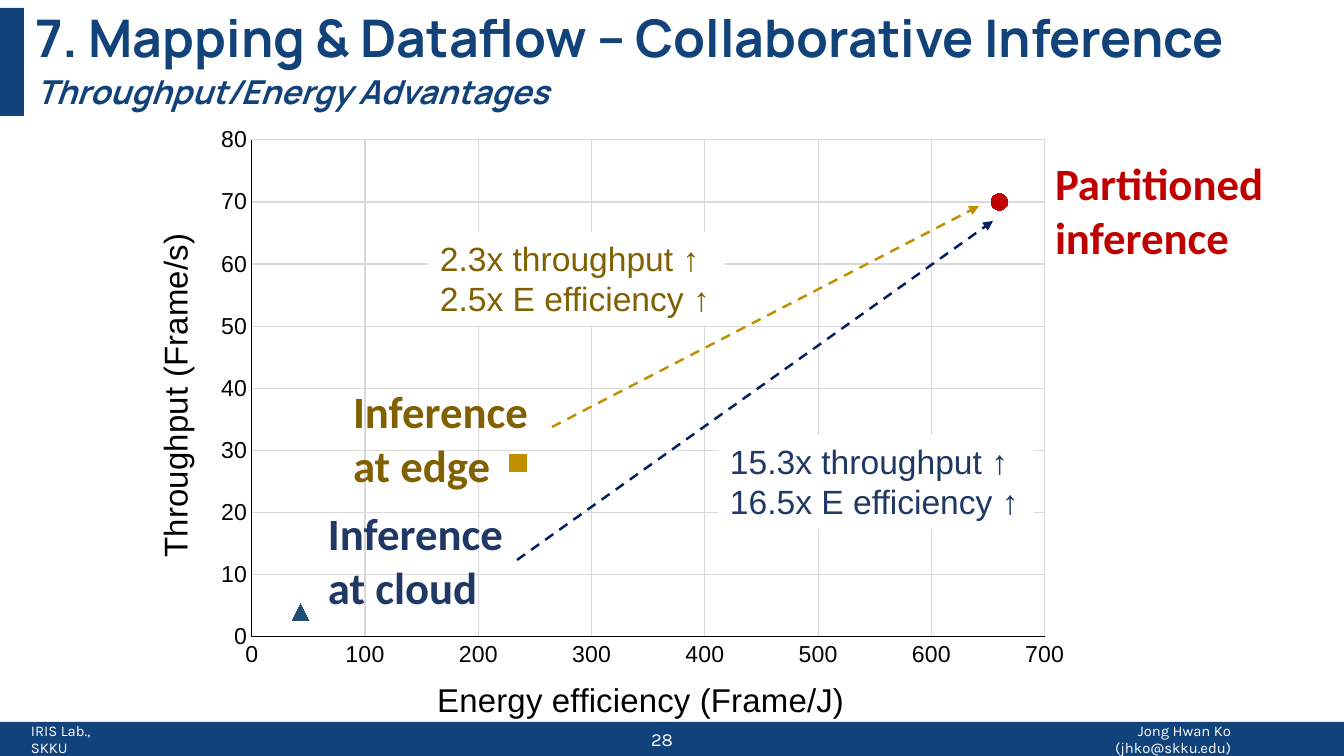
from dataclasses import dataclass
from typing import Optional

from lxml import etree
from pptx import Presentation
from pptx.chart.data import XyChartData
from pptx.dml.color import RGBColor
from pptx.enum.chart import XL_CHART_TYPE, XL_MARKER_STYLE, XL_TICK_MARK
from pptx.enum.dml import MSO_LINE
from pptx.enum.shapes import MSO_CONNECTOR, MSO_SHAPE
from pptx.enum.text import MSO_ANCHOR, PP_ALIGN
from pptx.oxml import parse_xml
from pptx.oxml.ns import nsdecls, qn
from pptx.util import Pt

EMU_PER_PX = 7716
SLIDE_SIZE = (1344, 756)

BRAND_BLUE = RGBColor(0x11, 0x43, 0x7A)
WHITE = RGBColor(0xFF, 0xFF, 0xFF)
BLACK = RGBColor(0x00, 0x00, 0x00)
GRID_GREY = RGBColor(0xD9, 0xD9, 0xD9)
EDGE_TEXT = RGBColor(0x80, 0x60, 0x00)
EDGE_GOLD = RGBColor(0xBF, 0x90, 0x00)
CLOUD_TEXT = RGBColor(0x20, 0x38, 0x64)
CLOUD_ARROW = RGBColor(0x00, 0x20, 0x60)
CLOUD_MARKER = RGBColor(0x1F, 0x4E, 0x79)
PARTITIONED_RED = RGBColor(0xC0, 0x00, 0x00)

LEFT, CENTER, RIGHT = PP_ALIGN.LEFT, PP_ALIGN.CENTER, PP_ALIGN.RIGHT
TOP, MIDDLE = MSO_ANCHOR.TOP, MSO_ANCHOR.MIDDLE
SQUARE, TRIANGLE = XL_MARKER_STYLE.SQUARE, XL_MARKER_STYLE.TRIANGLE
CIRCLE = XL_MARKER_STYLE.CIRCLE
NO_TICKS = XL_TICK_MARK.NONE

Box = tuple[int, int, int, int]


@dataclass(frozen=True)
class Label:
    box: Box
    lines: tuple[str, ...]
    size: float
    font: str
    color: RGBColor
    bold: bool = False
    italic: bool = False
    align: PP_ALIGN = LEFT
    anchor: MSO_ANCHOR = TOP
    insets: Box = (12, 6, 12, 6)
    wrap: bool = False
    fill: Optional[RGBColor] = None


@dataclass(frozen=True)
class Gain:
    start: tuple[int, int]
    end: tuple[int, int]
    color: RGBColor


@dataclass(frozen=True)
class Result:
    name: str
    efficiency: int
    throughput: int
    marker: XL_MARKER_STYLE
    color: RGBColor


@dataclass(frozen=True)
class AxisSpec:
    title: str
    title_at: tuple[float, float]
    maximum: int
    step: int


BARS: list[Box] = [(0, 722, 1344, 34), (0, 8, 24, 108)]
HEADING_INSETS: Box = (12, 2, 12, 0)

FRAME_LABELS = [
    Label((24, 724, 110, 30), ("IRIS Lab., SKKU",), 9, "Karla", WHITE,
          anchor=MIDDLE, insets=(7, 0, 7, 0), wrap=True),
    Label((1108, 724, 212, 30), ("Jong Hwan Ko (jhko@skku.edu)",), 9, "Karla", WHITE,
          align=RIGHT, anchor=MIDDLE, insets=(0, 0, 89, 0), wrap=True),
    Label((24, 4, 1295, 65), ("7. Mapping & Dataflow – Collaborative Inference",),
          31.5, "Manrope", BRAND_BLUE, bold=True, insets=HEADING_INSETS, wrap=True),
    Label((642, 722, 40, 34), ("28",), 11.2, "Karla", WHITE,
          align=CENTER, anchor=MIDDLE, insets=(0, 0, 0, 0), wrap=True),
    Label((24, 70, 1296, 51), ("Throughput/Energy Advantages",), 20, "Manrope",
          BRAND_BLUE, bold=True, italic=True, insets=HEADING_INSETS, wrap=True),
]

POINT_LABELS = [
    Label((341, 378, 200, 121), ("Inference", "at edge"), 27.2, "Calibri", EDGE_TEXT, bold=True),
    Label((316, 500, 200, 121), ("Inference", "at cloud"), 27.2, "Calibri", CLOUD_TEXT, bold=True),
    Label((1043, 150, 235, 121), ("Partitioned", "inference"), 27.2, "Calibri",
          PARTITIONED_RED, bold=True),
]

GAIN_LABELS = [
    Label((428, 232, 297, 94), ("2.3x throughput ↑", "2.5x E efficiency ↑"),
          20.4, "Arial", EDGE_TEXT, fill=WHITE),
    Label((718, 435, 316, 94), ("15.3x throughput ↑", "16.5x E efficiency ↑"),
          20.4, "Arial", CLOUD_TEXT, fill=WHITE),
]

GAINS = [
    Gain((552, 427), (979, 206), EDGE_GOLD),
    Gain((517, 560), (993, 221), CLOUD_ARROW),
]

RESULTS = [
    Result("Series 1", 235, 28, SQUARE, EDGE_GOLD),
    Result("Series 2", 43, 4, TRIANGLE, CLOUD_MARKER),
    Result("Series 3", 660, 70, CIRCLE, PARTITIONED_RED),
]

CHART_BOX: Box = (148, 96, 944, 731)
EFFICIENCY_AXIS = AxisSpec("Energy efficiency (Frame/J)", (0.3, 0.79), 700, 100)
THROUGHPUT_AXIS = AxisSpec("Throughput (Frame/s)", (0, 0.18), 80, 10)


def px(*lengths: int) -> list[int]:
    return [length * EMU_PER_PX for length in lengths]


def style_font(font, size: float, name: str, color: RGBColor) -> None:
    font.size, font.name = Pt(size), name
    font.color.rgb = color


def add_bar(slide, box: Box) -> None:
    bar = slide.shapes.add_shape(MSO_SHAPE.RECTANGLE, *px(*box))
    bar.shadow.inherit = False
    bar.fill.solid()
    bar.fill.fore_color.rgb = BRAND_BLUE
    bar.line.fill.background()


def add_label(slide, label: Label) -> None:
    shape = slide.shapes.add_textbox(*px(*label.box))
    if label.fill is not None:
        shape.fill.solid()
        shape.fill.fore_color.rgb = label.fill
    frame = shape.text_frame
    frame.word_wrap = label.wrap
    frame.vertical_anchor = label.anchor
    (frame.margin_left, frame.margin_top,
     frame.margin_right, frame.margin_bottom) = px(*label.insets)
    for index, line in enumerate(label.lines):
        paragraph = frame.add_paragraph() if index else frame.paragraphs[0]
        paragraph.alignment = label.align
        run = paragraph.add_run()
        run.text = line
        style_font(run.font, label.size, label.font, label.color)
        run.font.bold, run.font.italic = label.bold, label.italic


def add_gain_arrow(slide, gain: Gain) -> None:
    arrow = slide.shapes.add_connector(MSO_CONNECTOR.STRAIGHT, *px(*gain.start, *gain.end))
    arrow.line.color.rgb = gain.color
    arrow.line.width = Pt(1.5)
    arrow.line.dash_style = MSO_LINE.DASH
    properties = arrow.element.spPr
    etree.SubElement(properties.find(qn("a:ln")), qn("a:tailEnd"), type="triangle")
    etree.SubElement(properties, qn("a:effectLst"))


def manual_layout(inner: bool = False, **fractions: float):
    """Return a c:layout placed by fractions of the chart's size."""
    target = '<c:layoutTarget val="inner"/>' if inner else ""
    modes = '<c:xMode val="edge"/><c:yMode val="edge"/>'
    values = "".join(f'<c:{key} val="{value}"/>' for key, value in fractions.items())
    return parse_xml(f'<c:layout {nsdecls("c")}><c:manualLayout>{target}{modes}{values}'
                     '</c:manualLayout></c:layout>')


def style_axis(axis, spec: AxisSpec) -> None:
    axis.minimum_scale, axis.maximum_scale = 0, spec.maximum
    axis.major_unit = spec.step
    axis.major_tick_mark = axis.minor_tick_mark = NO_TICKS
    axis.has_major_gridlines = True
    for line, color in ((axis.format.line, BLACK), (axis.major_gridlines.format.line, GRID_GREY)):
        line.color.rgb = color
        line.width = Pt(0.75)
    style_font(axis.tick_labels.font, 14, "Arial", BLACK)
    run = axis.axis_title.text_frame.paragraphs[0].add_run()
    run.text = spec.title
    style_font(run.font, 20, "Arial", BLACK)
    run.font.bold = False
    title = axis.axis_title._element
    for layout in title.findall(qn("c:layout")):
        title.remove(layout)
    left, top = spec.title_at
    title.find(qn("c:tx")).addnext(manual_layout(x=left, y=top))


def add_results_chart(slide) -> None:
    data = XyChartData()
    for result in RESULTS:
        data.add_series(result.name).add_data_point(result.efficiency, result.throughput)
    chart = slide.shapes.add_chart(XL_CHART_TYPE.XY_SCATTER, *px(*CHART_BOX), data).chart
    chart.has_title = chart.has_legend = False
    style_font(chart.font, 12, "Arial", BLACK)
    style_axis(chart.category_axis, EFFICIENCY_AXIS)
    style_axis(chart.value_axis, THROUGHPUT_AXIS)
    plot = chart.plots[0]
    plot.vary_by_categories = False
    for series, result in zip(plot.series, RESULTS):
        series.format.line.fill.background()
        series.marker.style, series.marker.size = result.marker, 10
        series.marker.format.fill.solid()
        series.marker.format.fill.fore_color.rgb = result.color
        series.marker.format.line.color.rgb = result.color
    plot_area = chart._chartSpace.chart.plotArea
    for layout in plot_area.findall(qn("c:layout")):
        plot_area.remove(layout)
    plot_area.insert(0, manual_layout(inner=True, x=0.11, y=0.06, w=0.84, h=0.68))


def main() -> None:
    deck = Presentation()
    deck.slide_width, deck.slide_height = px(*SLIDE_SIZE)
    slide = deck.slides.add_slide(deck.slide_layouts[6])
    for bar in BARS:
        add_bar(slide, bar)
    for label in FRAME_LABELS:
        add_label(slide, label)
    add_results_chart(slide)
    for label in POINT_LABELS:
        add_label(slide, label)
    for gain in GAINS:
        add_gain_arrow(slide, gain)
    for label in GAIN_LABELS:
        add_label(slide, label)
    deck.save("out.pptx")


if __name__ == "__main__":
    main()
